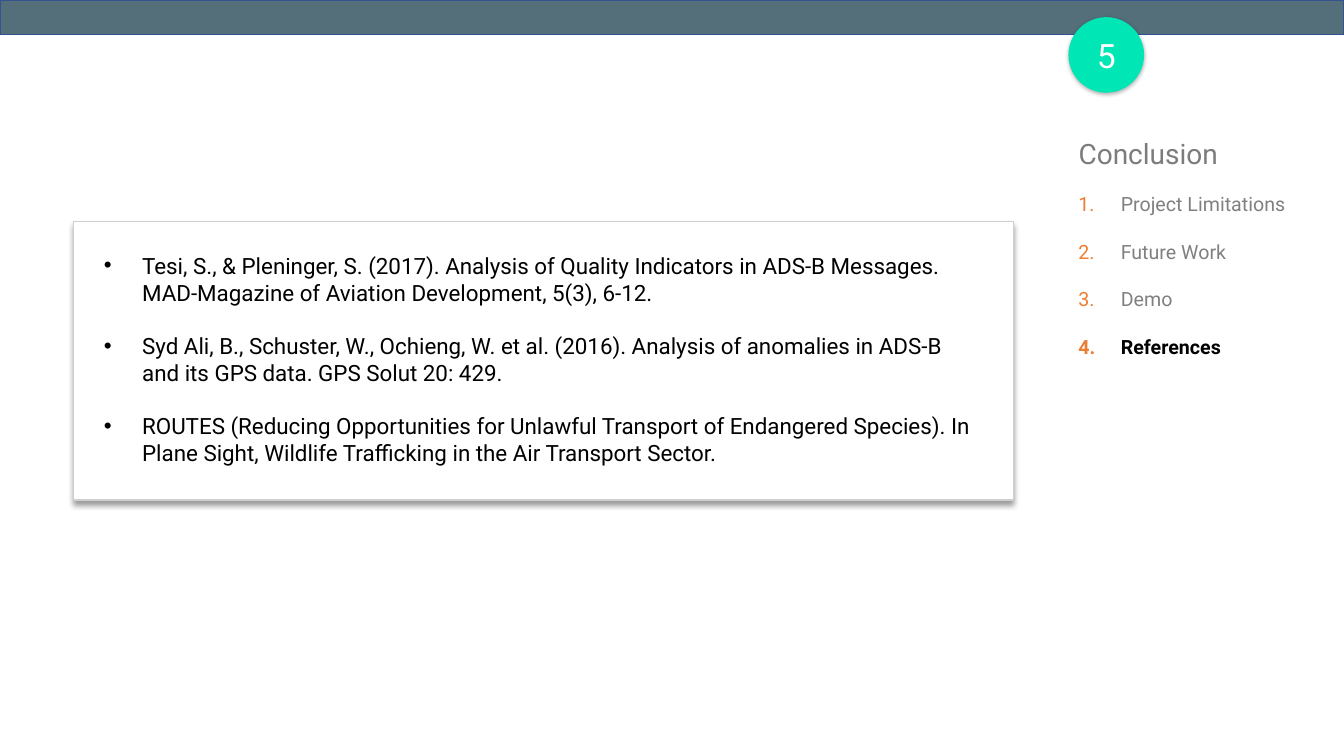
from dataclasses import dataclass
from typing import Optional

from lxml.etree import SubElement
from pptx import Presentation
from pptx.dml.color import RGBColor
from pptx.enum.shapes import MSO_SHAPE as Preset
from pptx.enum.text import MSO_ANCHOR as Anchor, MSO_AUTO_SIZE as AutoSize, PP_ALIGN as Align
from pptx.oxml.ns import qn
from pptx.util import Inches, Pt

SLIDE_W, SLIDE_H = Inches(13.33), Inches(7.5)


@dataclass(frozen=True)
class Theme:
    font: str = "Roboto"
    banner: str = "546E7A"
    banner_edge: str = "325491"
    badge: str = "00E6B4"
    white: str = "FFFFFF"
    black: str = "000000"
    heading: str = "7C7C7C"
    muted: str = "808080"
    number: str = "ED7D31"
    card_edge: str = "D0CECE"
    badge_size: int = 24
    heading_size: int = 20
    reference_size: int = 16
    agenda_size: int = 14


@dataclass(frozen=True)
class Area:
    """A rectangle in percent of the slide's width and height."""
    left: float
    top: float
    width: float
    height: float

    def box(self) -> tuple:
        return (int(SLIDE_W * self.left / 100), int(SLIDE_H * self.top / 100),
                int(SLIDE_W * self.width / 100), int(SLIDE_H * self.height / 100))


@dataclass(frozen=True)
class Shadow:
    opacity: int
    blur: float
    distance: float


@dataclass(frozen=True)
class Panel:
    area: Area
    preset: Preset
    fill: str
    edge: Optional[str] = None
    shadow: Optional[Shadow] = None


@dataclass(frozen=True)
class Marker:
    """A list marker: numbered unless a symbol is given."""
    indent: float
    symbol: Optional[str] = None
    color: Optional[str] = None


THEME = Theme()
SIDE_LEFT = 79.5
BANNER = Panel(Area(0, 0, 100, 4.53), Preset.RECTANGLE, THEME.banner, THEME.banner_edge)
BADGE = Panel(Area(SIDE_LEFT, 2.27, 5.63, 10), Preset.OVAL, THEME.badge,
              shadow=Shadow(30, 3, 1))
CARD = Panel(Area(5.48, 29.33, 69.92, 36.8), Preset.RECTANGLE, THEME.white,
             THEME.card_edge, Shadow(40, 4, 3))
HEADING = Area(SIDE_LEFT, 17.33, 11.93, 5.87)
AGENDA = Area(SIDE_LEFT, 24.8, 20.5, 26.53)

TOPICS = ["Project Limitations", "Future Work", "Demo", "References"]
CURRENT_TOPIC = "References"
REFERENCES = [
    "Tesi, S., & Pleninger, S. (2017). Analysis of Quality Indicators in ADS-B Messages. "
    "MAD-Magazine of Aviation Development, 5(3), 6-12.",
    "Syd Ali, B., Schuster, W., Ochieng, W. et al. (2016). Analysis of anomalies in ADS-B "
    "and its GPS data. GPS Solut 20: 429.",
    "ROUTES (Reducing Opportunities for Unlawful Transport of Endangered Species). "
    "In Plane Sight, Wildlife Trafficking in the Air Transport Sector.",
]


def rgb(color: str) -> RGBColor:
    return RGBColor.from_string(color)


def add_shadow(shape, shadow: Shadow) -> None:
    """Cast a soft black shadow straight down."""
    effects = shape._element.spPr.find(qn("a:effectLst"))
    outer = SubElement(effects, qn("a:outerShdw"), blurRad=str(Pt(shadow.blur)),
                       dist=str(Pt(shadow.distance)), dir="5400000", rotWithShape="0")
    tint = SubElement(outer, qn("a:srgbClr"), val=THEME.black)
    SubElement(tint, qn("a:alpha"), val=str(shadow.opacity * 1000))


def add_panel(slide, panel: Panel):
    shape = slide.shapes.add_shape(panel.preset, *panel.area.box())
    shape.fill.solid()
    shape.fill.fore_color.rgb = rgb(panel.fill)
    if panel.edge:
        shape.line.color.rgb = rgb(panel.edge)
        shape.line.width = Pt(1)
    else:
        shape.line.fill.background()
    shape.shadow.inherit = False
    if panel.shadow:
        add_shadow(shape, panel.shadow)
    return shape


def mark(paragraph, marker: Marker) -> None:
    props = paragraph._p.get_or_add_pPr()
    props.set("marL", str(Inches(marker.indent)))
    props.set("indent", str(-Inches(marker.indent)))
    if marker.color:
        SubElement(SubElement(props, qn("a:buClr")), qn("a:srgbClr"), val=marker.color)
    if marker.symbol:
        SubElement(props, qn("a:buFont"), typeface="Arial")
        SubElement(props, qn("a:buChar"), char=marker.symbol)
    else:
        SubElement(props, qn("a:buFont"), typeface="+mj-lt")
        SubElement(props, qn("a:buAutoNum"), type="arabicPeriod")


def write(shape, *lines: str, size: int, color: str, align: Align = Align.LEFT,
          anchor: Anchor = Anchor.TOP, wrap: bool = True, inset: Optional[float] = None,
          gap: float = 0, marker: Optional[Marker] = None, strong: str = "") -> None:
    """Fill a shape with one paragraph per line; the strong line is bold and black."""
    frame = shape.text_frame
    frame.auto_size = AutoSize.NONE
    frame.word_wrap = wrap
    frame.vertical_anchor = anchor
    if inset is not None:
        frame.margin_left = frame.margin_right = Inches(inset)
        frame.margin_top = frame.margin_bottom = Inches(inset)
    for index, line in enumerate(lines):
        paragraph = frame.add_paragraph() if index else frame.paragraphs[0]
        paragraph.alignment = align
        if index and gap:
            paragraph.space_before = Pt(gap)
        if marker:
            mark(paragraph, marker)
        run = paragraph.add_run()
        run.text = line
        run.font.name = THEME.font
        run.font.size = Pt(size)
        run.font.bold = line == strong
        run.font.color.rgb = rgb(THEME.black if line == strong else color)


def main() -> None:
    deck = Presentation()
    deck.slide_width, deck.slide_height = SLIDE_W, SLIDE_H
    slide = deck.slides.add_slide(deck.slide_layouts[5])

    add_panel(slide, BANNER)
    write(add_panel(slide, BADGE), "5", size=THEME.badge_size, color=THEME.white,
          align=Align.CENTER, anchor=Anchor.MIDDLE)

    heading = slide.shapes.title
    heading.left, heading.top, heading.width, heading.height = HEADING.box()
    write(heading, "Conclusion", size=THEME.heading_size, color=THEME.heading, wrap=False)

    agenda = slide.shapes.add_textbox(*AGENDA.box())
    write(agenda, *TOPICS, size=THEME.agenda_size, color=THEME.muted, gap=17,
          marker=Marker(0.42, color=THEME.number), strong=CURRENT_TOPIC)

    write(add_panel(slide, CARD), *REFERENCES, size=THEME.reference_size, color=THEME.black,
          inset=0.3, gap=19, marker=Marker(0.38, symbol="•"))

    deck.save("out.pptx")


if __name__ == "__main__":
    main()
